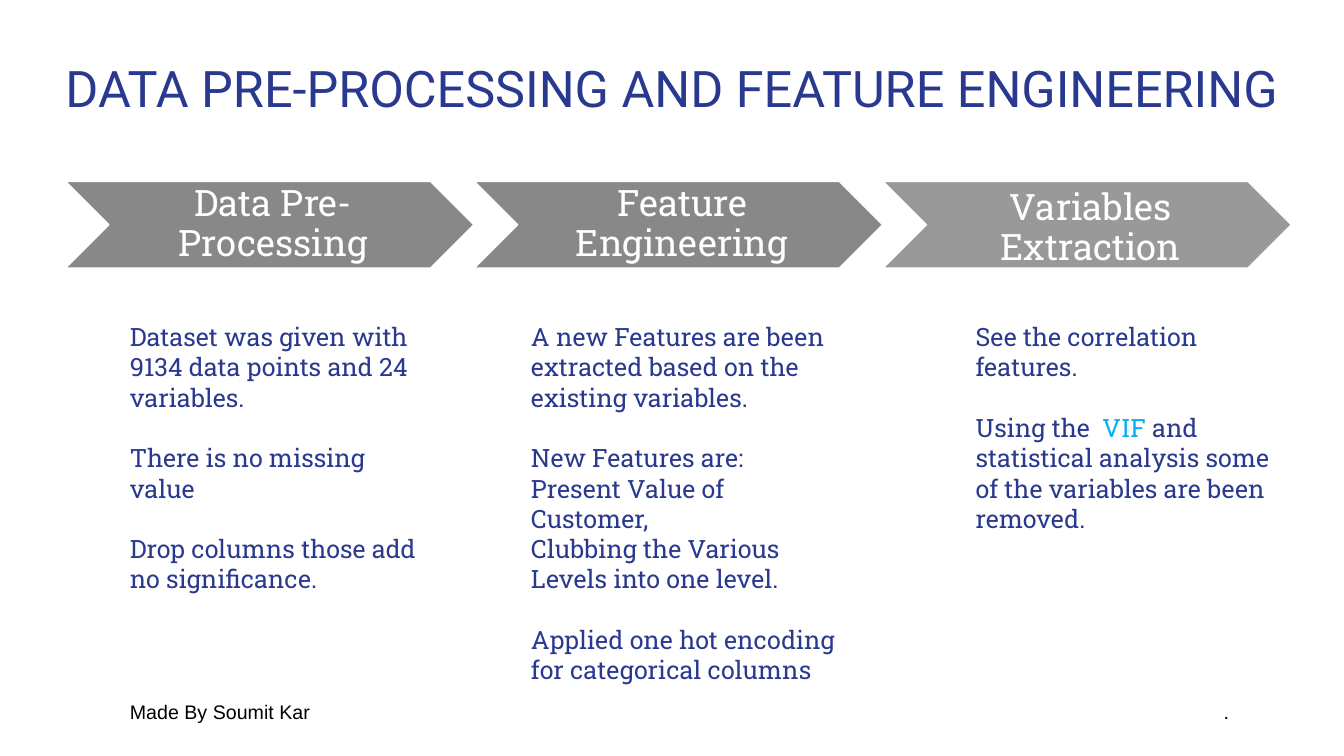
import pptx
import pptx.dml.color
import pptx.enum.shapes
import pptx.enum.text
import pptx.util

Pt = pptx.util.Pt
ALIGN = pptx.enum.text.PP_ALIGN
ANCHOR = pptx.enum.text.MSO_ANCHOR
AUTO_SIZE = pptx.enum.text.MSO_AUTO_SIZE

COLORS = {
    "navy": "2A3990",
    "cyan": "00B0F0",
    "gray": "888888",
    "light_gray": "999999",
    "white": "FFFFFF",
    "black": "000000",
}
BODY_FONT = "Roboto Slab"
BLANK_LINE = 21.7

# Chevron row: left edge, pitch and size in points
ROW_LEFT, ROW_TOP, ROW_PITCH = 46.8, 129.6, 292
CHEVRON_WIDTH, CHEVRON_HEIGHT = 291.6, 61.9

# Heading, chevron color, downward shift of the heading
STEPS = [
    ("Data Pre-Processing", "gray", 0),
    ("Feature Engineering", "gray", 0),
    ("Variables Extraction", "light_gray", 2.9),
]

# Left, width, height, then blocks of lines; a line is a list of (text, color)
COLUMNS = [
    (85.7, 228.2, 181.4, [
        [[("Dataset was given with 9134 data points and 24 variables.", "navy")]],
        [[("There is no missing value", "navy")]],
        [[("Drop columns those add no significance.", "navy")]],
    ]),
    (372.2, 239, 247, [
        [[("A new Features are been extracted based on the existing variables.", "navy")]],
        [[("New Features are:", "navy")],
         [("Present Value of Customer,", "navy")],
         [("Clubbing the Various Levels into one level.", "navy")]],
        [[("Applied one hot encoding for categorical columns", "navy")]],
    ]),
    (689.8, 228.2, 159.8, [
        [[("See the correlation features.", "navy")]],
        [[("Using the  ", "navy"), ("VIF", "cyan"),
          (" and statistical analysis some of the variables are been removed.", "navy")]],
    ]),
]


def rgb(name):
    return pptx.dml.color.RGBColor.from_string(COLORS[name])


def format_span(span, font, size, color):
    span.font.name = font
    span.font.size = Pt(size)
    span.font.color.rgb = rgb(color)


def add_box(page, left, top, width, height, margins=(7.2, 3.6, 7.2, 3.6)):
    box = page.shapes.add_textbox(Pt(left), Pt(top), Pt(width), Pt(height))
    frame = box.text_frame
    frame.word_wrap = True
    frame.margin_left, frame.margin_top, frame.margin_right, frame.margin_bottom = map(Pt, margins)
    return box


def set_line(frame, text, font, size, color, align, spacing=None):
    frame.text = text
    frame.vertical_anchor = ANCHOR.MIDDLE
    para = frame.paragraphs[0]
    para.alignment = align
    para.line_spacing = spacing
    format_span(para.runs[0], font, size, color)


def add_title(page, text):
    title = page.shapes.title
    title.left, title.top, title.width, title.height = Pt(0), Pt(28.8), Pt(960), Pt(72)
    title.text_frame.auto_size = AUTO_SIZE.NONE
    set_line(title.text_frame, text, "Roboto", 36, "navy", ALIGN.CENTER, 0.9)


def add_step(page, index, heading, color, shift):
    left = ROW_LEFT + index * ROW_PITCH
    chevron = page.shapes.add_shape(
        pptx.enum.shapes.MSO_SHAPE.CHEVRON,
        Pt(left), Pt(ROW_TOP), Pt(CHEVRON_WIDTH), Pt(CHEVRON_HEIGHT))
    chevron.shadow.inherit = False
    chevron.fill.solid()
    chevron.fill.fore_color.rgb = rgb(color)
    chevron.line.color.rgb = rgb("white")
    chevron.line.width = Pt(1)

    # The heading sits between the notch and the point
    inset = CHEVRON_HEIGHT / 2
    box = add_box(page, left + inset, ROW_TOP + shift, CHEVRON_WIDTH - 2 * inset,
                  CHEVRON_HEIGHT, (8, 2.7, 2.7, 2.7))
    set_line(box.text_frame, heading, BODY_FONT, 26, "white", ALIGN.CENTER, 0.9)


def add_column(page, left, width, height, blocks):
    frame = add_box(page, left, 226.1, width, height).text_frame
    frame.auto_size = AUTO_SIZE.SHAPE_TO_FIT_TEXT
    para = None
    for block in blocks:
        for position, line in enumerate(block):
            first = para is None
            para = frame.paragraphs[0] if first else frame.add_paragraph()
            if position == 0 and not first:
                para.space_before = Pt(BLANK_LINE)
            for text, color in line:
                span = para.add_run()
                span.text = text
                format_span(span, BODY_FONT, 18, color)


def add_footer(page, left, width, text, align):
    box = add_box(page, left, 493.9, width, 28.8)
    set_line(box.text_frame, text, "Arial", 14, "black", align)


def main():
    deck = pptx.Presentation()
    deck.slide_width, deck.slide_height = Pt(960), Pt(540)
    page = deck.slides.add_slide(deck.slide_layouts.get_by_name("Title Only"))

    # Title
    add_title(page, "DATA PRE-PROCESSING AND FEATURE ENGINEERING")

    # Process steps
    for index, step in enumerate(STEPS):
        add_step(page, index, *step)

    # Details under each step
    for column in COLUMNS:
        add_column(page, *column)

    # Footer
    add_footer(page, 85.7, 498.2, "Made By Soumit Kar", ALIGN.LEFT)
    add_footer(page, 627.1, 257.8, ".", ALIGN.RIGHT)

    deck.save("out.pptx")


if __name__ == "__main__":
    main()
